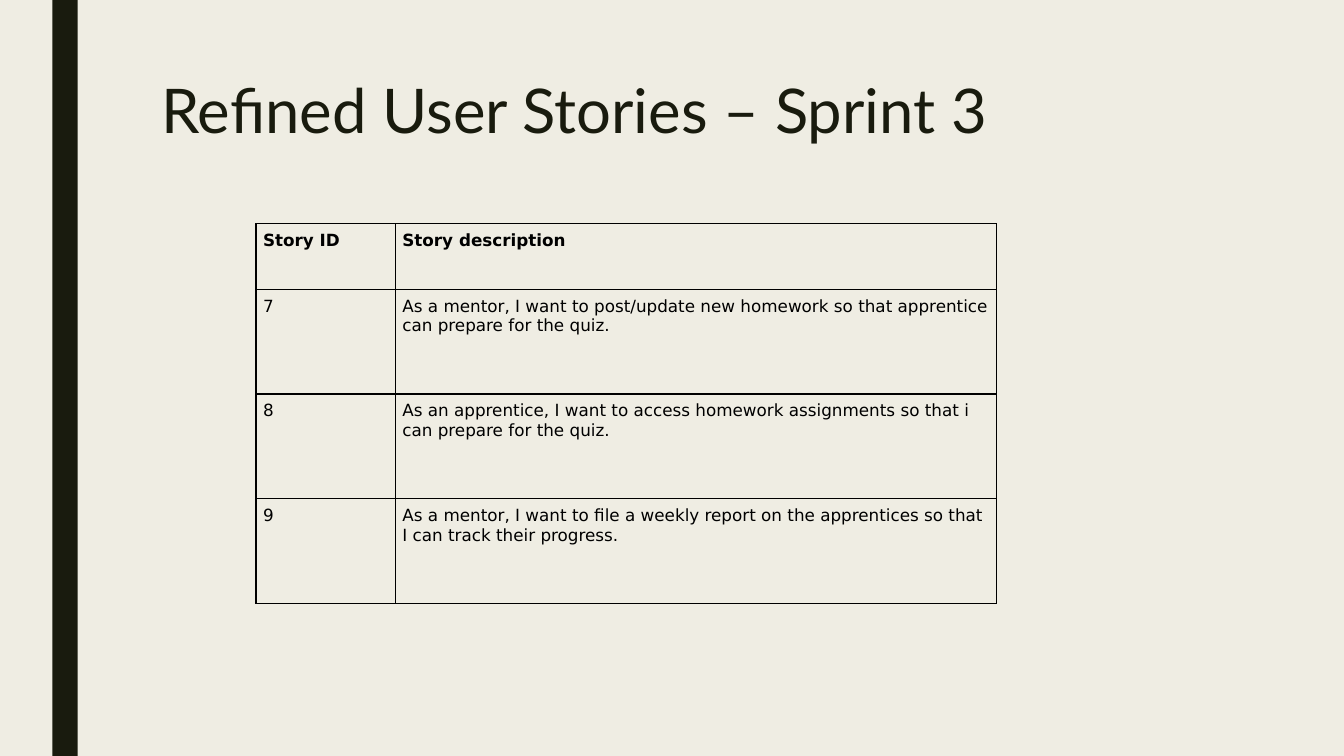
import dataclasses

import pptx
import pptx.dml.color
import pptx.enum.shapes
import pptx.enum.text
import pptx.oxml
import pptx.oxml.ns
import pptx.util
from pptx.util import Cm


@dataclasses.dataclass(frozen=True)
class Theme:
    background: str = "EFEDE3"
    dark: str = "191B0E"
    table_ink: str = "000000"
    title_font: str = "Lato"
    table_font: str = "DejaVu Sans"
    title_size: int = 44
    table_size: int = 12
    border_width: int = 1


theme = Theme()


def write(tf, text, *, font, size, color, bold=False, spacing=None):
    p = tf.paragraphs[0]
    p.alignment = pptx.enum.text.PP_ALIGN.LEFT
    p.line_spacing = spacing
    r = p.add_run()
    r.text = text
    r.font.name = font
    r.font.size = pptx.util.Pt(size)
    r.font.bold = bold
    r.font.color.rgb = pptx.dml.color.RGBColor.from_string(color)


def add_borders(cell):
    """Draw all four cell edges; call before setting the cell's fill."""
    tcPr = cell._tc.get_or_add_tcPr()
    for edge in ("lnL", "lnR", "lnT", "lnB"):
        tcPr.append(pptx.oxml.parse_xml(
            f'<a:{edge} {pptx.oxml.ns.nsdecls("a")} w="{pptx.util.Pt(theme.border_width)}">'
            f'<a:solidFill><a:srgbClr val="{theme.table_ink}"/></a:solidFill></a:{edge}>'))


prs = pptx.Presentation()
prs.slide_width, prs.slide_height = Cm(33.87), Cm(19.05)
s = prs.slides.add_slide(prs.slide_layouts[5])
s.background.fill.solid()
s.background.fill.fore_color.rgb = pptx.dml.color.RGBColor.from_string(theme.background)

# Side bar
bar = s.shapes.add_shape(pptx.enum.shapes.MSO_SHAPE.RECTANGLE,
                         Cm(1.32), 0, Cm(0.64), prs.slide_height)
bar.shadow.inherit = False
bar.fill.solid()
bar.fill.fore_color.rgb = pptx.dml.color.RGBColor.from_string(theme.dark)
bar.line.fill.background()

# Title
title = s.shapes.title
title.left, title.top, title.width, title.height = Cm(3.81), Cm(1.9), Cm(26.67), Cm(2.92)
tf = title.text_frame
tf.word_wrap = True
tf.auto_size = pptx.enum.text.MSO_AUTO_SIZE.NONE
tf.vertical_anchor = pptx.enum.text.MSO_ANCHOR.TOP
write(tf, "Refined User Stories – Sprint 3", font=theme.title_font,
      size=theme.title_size, color=theme.dark, spacing=0.89)

# Story table
stories = [
    ("Story ID", "Story description"),
    ("7", "As a mentor, I want to post/update new homework so that apprentice "
          "can prepare for the quiz."),
    ("8", "As an apprentice, I want to access homework assignments so that i "
          "can prepare for the quiz."),
    ("9", "As a mentor, I want to file a weekly report on the apprentices so that "
          "I can track their progress."),
]
col_widths = Cm(3.51), Cm(15.16)
header_height, story_height = Cm(1.65), Cm(2.64)
table = s.shapes.add_table(len(stories), len(col_widths), Cm(6.45), Cm(5.64), sum(col_widths),
                           header_height + story_height * (len(stories) - 1)).table
table.horz_banding = False
for column, width in zip(table.columns, col_widths):
    column.width = width

for i, story in enumerate(stories):
    is_header = i == 0
    table.rows[i].height = header_height if is_header else story_height
    for cell, text in zip(table.rows[i].cells, story):
        add_borders(cell)
        cell.fill.background()
        cell.margin_left = cell.margin_right = Cm(0.18)
        cell.margin_top = cell.margin_bottom = Cm(0.18)
        write(cell.text_frame, text, font=theme.table_font, size=theme.table_size,
              color=theme.table_ink, bold=is_header)

prs.save("out.pptx")
